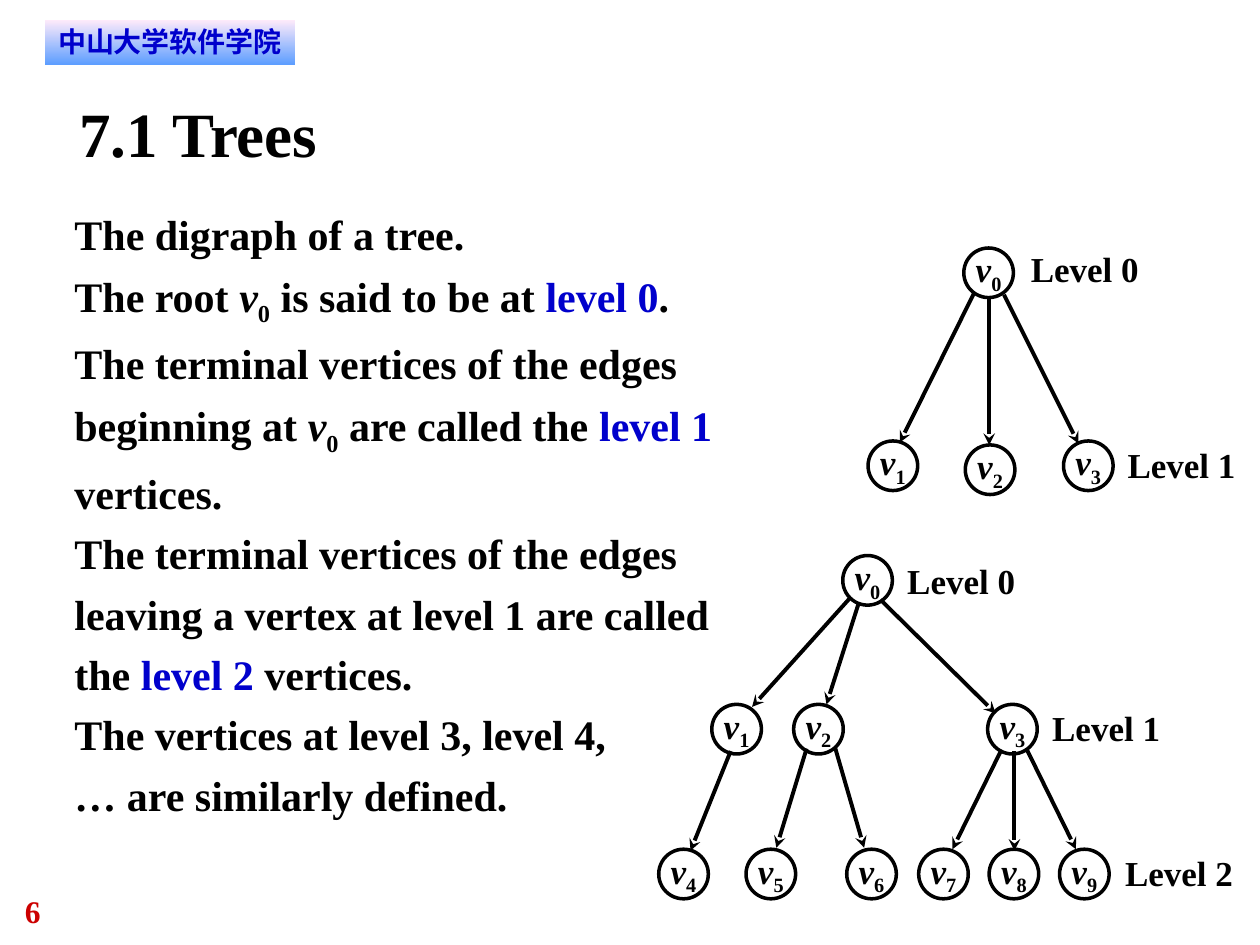
from dataclasses import dataclass

from lxml import etree
from pptx import Presentation
from pptx import util as u
from pptx.dml.color import RGBColor
from pptx.enum import shapes, text
from pptx.oxml.ns import qn


@dataclass(frozen=True)
class Theme:
    font: str = "Times New Roman"
    badge_font: str = "DejaVu Sans"
    ink: str = "000000"
    blue: str = "0000CC"
    red: str = "CC0000"
    top: str = "FFEBFA"
    base: str = "5E9EFF"
    title: int = 36
    body: int = 24
    label: int = 20
    page: int = 18
    badge: int = 16
    edge: float = 2.25
    ring: float = 2
    node: float = 1.0


@dataclass(frozen=True)
class Run:
    words: str
    color: str = ""
    slant: bool = False
    sub: bool = False


@dataclass(frozen=True)
class Node:
    num: int
    x: float
    y: float


@dataclass(frozen=True)
class Edge:
    x1: float
    y1: float
    x2: float
    y2: float


@dataclass(frozen=True)
class Label:
    level: int
    x: float
    y: float


@dataclass(frozen=True)
class Tree:
    nodes: list[Node]
    edges: list[Edge]
    labels: list[Label]


T = Theme()


def vertex(num: int) -> list[Run]:
    return [Run("v", slant=True), Run(str(num), sub=True)]


BODY = [
    [Run("The digraph of a tree.")],
    [Run("The root "), *vertex(0), Run(" is said to be at "),
     Run("level 0", T.blue), Run(".")],
    [Run("The terminal vertices of the edges beginning at "), *vertex(0),
     Run(" are called the "), Run("level 1", T.blue), Run(" vertices.")],
    [Run("The terminal vertices of the edges\n"
         "leaving a vertex at level 1 are called\nthe "),
     Run("level 2", T.blue), Run(" vertices.")],
    [Run("The vertices at level 3, level 4,\n… are similarly defined.")],
]

MID, LOW = 14.2, 17.12
TREES = [
    Tree(
        [Node(0, 19.43, 5), Node(1, 17.5, 8.89),
         Node(2, 19.46, 8.97), Node(3, 21.44, 8.89)],
        [Edge(19.63, 5.92, 18.14, 8.92), Edge(19.94, 5.97, 19.94, 8.97),
         Edge(20.24, 5.94, 21.74, 8.94)],
        [Label(0, 20.78, 4.98), Label(1, 22.73, 8.94)],
    ),
    Tree(
        [Node(0, 16.99, 11.2), Node(1, 14.35, MID), Node(2, 16, MID),
         Node(3, 19.91, MID), Node(4, 13.28, LOW), Node(5, 15.04, LOW),
         Node(6, 17.07, LOW), Node(7, 18.52, LOW), Node(8, 19.94, LOW),
         Node(9, 21.36, LOW)],
        [Edge(17.15, 12.04, 15.16, 14.25), Edge(17.3, 12.19, 16.66, 14.2),
         Edge(17.75, 12.09, 20.07, 14.38), Edge(14.73, 15.14, 13.92, 17.15),
         Edge(16.26, 15.09, 15.65, 17.09), Edge(16.84, 15.09, 17.42, 17.09),
         Edge(20.19, 15.11, 19.2, 17.12), Edge(20.45, 15.14, 20.45, 17.15),
         Edge(20.7, 15.11, 21.69, 17.12)],
        [Label(0, 18.29, 11.28), Label(1, 21.21, 14.25),
         Label(2, 22.68, 17.17)],
    ),
]


def rgb(code: str) -> RGBColor:
    return RGBColor.from_string(code)


def place(shape, x: float, y: float, w: float, h: float) -> None:
    shape.left, shape.top = u.Cm(x), u.Cm(y)
    shape.width, shape.height = u.Cm(w), u.Cm(h)


def frame(shape, wrap: bool = True, pad: tuple = (0, 0),
          anchor=text.MSO_ANCHOR.TOP):
    """Set up the text frame; pad is (sides, top and bottom) in cm."""
    tf = shape.text_frame
    tf.word_wrap, tf.auto_size = wrap, text.MSO_AUTO_SIZE.NONE
    tf.margin_left = tf.margin_right = u.Cm(pad[0])
    tf.margin_top = tf.margin_bottom = u.Cm(pad[1])
    tf.vertical_anchor = anchor
    return tf


def write(para, runs: list[Run], size: float, color: str = T.ink,
          face: str = T.font, align=text.PP_ALIGN.LEFT) -> None:
    para.alignment = align
    for item in runs:
        for i, line in enumerate(item.words.split("\n")):
            if i:
                para.add_line_break()
            run = para.add_run()
            run.text = line
            font = run.font
            font.name, font.size = face, u.Pt(size)
            font.bold, font.italic = True, item.slant
            font.color.rgb = rgb(item.color or color)
            if item.sub:
                font._element.set("baseline", "-25000")


def draw_text(slide, words: str, x: float, y: float, w: float, h: float,
              size: float, color: str = T.ink) -> None:
    box = slide.shapes.add_textbox(u.Cm(x), u.Cm(y), u.Cm(w), u.Cm(h))
    write(frame(box, wrap=False).paragraphs[0], [Run(words)], size, color)


def draw_badge(slide) -> None:
    box = slide.shapes.add_shape(shapes.MSO_SHAPE.RECTANGLE, u.Cm(0.9),
                                 u.Cm(0.4), u.Cm(5.05), u.Cm(0.9))
    box.shadow.inherit = False
    box.line.fill.background()
    box.fill.gradient()
    box.fill.gradient_angle = 270
    for stop, code in zip(box.fill.gradient_stops, (T.top, T.base)):
        stop.color.rgb = rgb(code)
    write(frame(box, pad=(0.2, 0.1)).paragraphs[0], [Run("中山大学软件学院")],
          T.badge, T.blue, T.badge_font, text.PP_ALIGN.CENTER)


def draw_body(shape) -> None:
    place(shape, 1.5, 4, 13.44, 12.52)
    tf = frame(shape)
    for i, runs in enumerate(BODY):
        para = tf.add_paragraph() if i else tf.paragraphs[0]
        para.line_spacing, para.space_before = 1.2, u.Pt(0)
        props = para._p.get_or_add_pPr()
        props.set("marL", "0")
        props.set("indent", "0")
        etree.SubElement(props, qn("a:buNone"))
        write(para, runs, T.body)


def draw_edge(group, edge: Edge) -> None:
    line = group.shapes.add_connector(
        shapes.MSO_CONNECTOR.STRAIGHT, u.Cm(edge.x1), u.Cm(edge.y1),
        u.Cm(edge.x2), u.Cm(edge.y2))
    line.line.color.rgb, line.line.width = rgb(T.ink), u.Pt(T.edge)
    etree.SubElement(line.line._get_or_add_ln(), qn("a:tailEnd"),
                     type="stealth")
    etree.SubElement(line._element.spPr, qn("a:effectLst"))


def draw_node(group, node: Node) -> None:
    ring = group.shapes.add_shape(shapes.MSO_SHAPE.OVAL, u.Cm(node.x),
                                  u.Cm(node.y), u.Cm(T.node), u.Cm(T.node))
    ring.shadow.inherit = False
    ring.fill.background()
    ring.line.color.rgb, ring.line.width = rgb(T.ink), u.Pt(T.ring)
    para = frame(ring, anchor=text.MSO_ANCHOR.MIDDLE).paragraphs[0]
    para.line_spacing = 0.7
    write(para, vertex(node.num), T.label, align=text.PP_ALIGN.CENTER)


def draw_tree(slide, tree: Tree) -> None:
    for tag in tree.labels:
        draw_text(slide, f"Level {tag.level}", tag.x, tag.y, 2.18, 0.84,
                  T.label)
    group = slide.shapes.add_group_shape()
    for edge in tree.edges:
        draw_edge(group, edge)
    for node in tree.nodes:
        draw_node(group, node)


def main() -> None:
    deck = Presentation()
    deck.slide_width, deck.slide_height = u.Cm(25.4), u.Cm(19.05)
    slide = deck.slides.add_slide(deck.slide_layouts[1])
    title = slide.shapes.title
    place(title, 1.6, 1.9, 22.22, 1.52)
    write(frame(title).paragraphs[0], [Run("7.1 Trees")], T.title)
    draw_body(slide.placeholders[1])
    draw_text(slide, "6", 0.5, 17.98, 1.9, 0.76, T.page, T.red)
    draw_badge(slide)
    for tree in TREES:
        draw_tree(slide, tree)
    deck.save("out.pptx")


if __name__ == "__main__":
    main()
